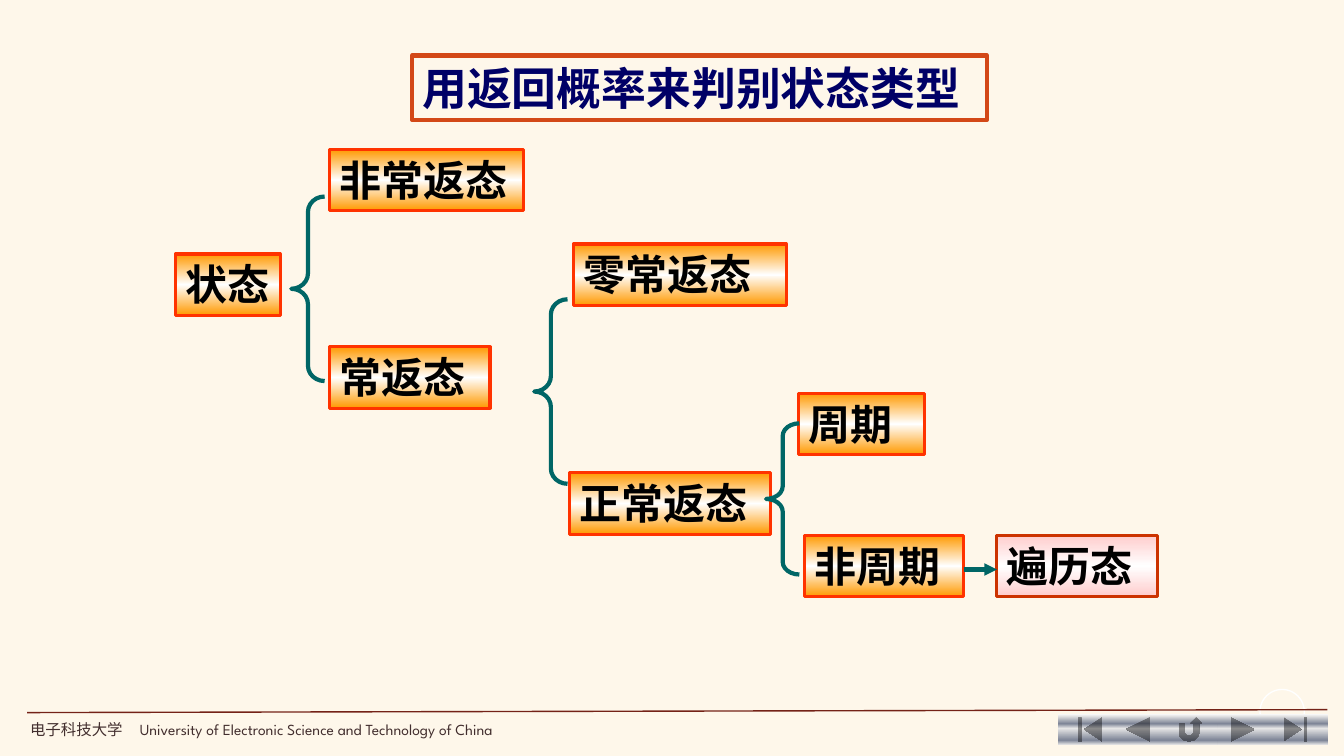
"""Build a slide that sorts the states of a chain by return probability."""
from dataclasses import dataclass
from typing import Any

from lxml.etree import SubElement
from pptx import Presentation
from pptx.dml.color import RGBColor
from pptx.enum.shapes import MSO_CONNECTOR, MSO_SHAPE
from pptx.enum.text import MSO_ANCHOR, PP_ALIGN
from pptx.oxml.ns import qn
from pptx.util import Pt

SERIF, SANS, LATIN = "Times New Roman", "Noto Sans CJK JP", "League Spartan"
TEAL, ORANGE, RED, BLACK = "006666", "FF9900", "FF3300", "000000"
BASE = 5.31 * 72
STEEL = [(0, "FFFFFF"), (7, "E6E6E6"), (32, "7D8496"),
         (47, "E6E6E6"), (85, "7D8496"), (100, "E6E6E6")]
FRAME = {"word_wrap": True, "vertical_anchor": MSO_ANCHOR.TOP,
         "margin_left": Pt(7.2), "margin_right": Pt(0),
         "margin_top": Pt(3.6), "margin_bottom": Pt(3.6)}


@dataclass
class Node:
    """A labelled box of the tree."""
    text: str
    left: float
    top: float
    width: float
    tint: str = ORANGE
    edge: str = RED


@dataclass
class Brace:
    """A left brace that splits one node into two."""
    left: float
    top: float
    height: float
    curve: float


@dataclass
class Button:
    """A button of the bar at the bottom right."""
    kind: Any
    left: float
    width: float


NODES = [
    Node("状态", 125.3, 181.4, 74.9),
    Node("非常返态", 235.5, 106.6, 138.3),
    Node("常返态", 235.5, 247.7, 114.5),
    Node("零常返态", 409.7, 174.3, 152),
    Node("正常返态", 406.8, 337.7, 143.3),
    Node("周期", 570.3, 280.8, 90),
    Node("非周期", 574.6, BASE, 113.8),
    Node("遍历态", 712.1, BASE, 114.5, "FFCCCC", "CC3300"),
]
BRACES = [
    Brace(208.1, 140.4, 131.8, 0.46),
    Brace(381.6, 213.8, 131.8, 0.46),
    Brace(547.2, 302.4, 108, 0.38),
]
BUTTONS = [
    Button(MSO_SHAPE.ACTION_BUTTON_BEGINNING, 756, 45.4),
    Button(MSO_SHAPE.ACTION_BUTTON_BACK_OR_PREVIOUS, 792, 41.8),
    Button(MSO_SHAPE.ACTION_BUTTON_RETURN, 830.9, 38.9),
    Button(MSO_SHAPE.ACTION_BUTTON_FORWARD_OR_NEXT, 869.8, 36),
    Button(MSO_SHAPE.ACTION_BUTTON_END, 902.2, 46.1),
]


def tone(code: str) -> RGBColor:
    """Turn a hex string into a colour."""
    return RGBColor.from_string(code)


def apply(item: Any, form: dict[str, Any]) -> None:
    """Set each value of a format on an item."""
    for name, value in form.items():
        setattr(item, name, value)


def stroke(shape: Any, code: str, width: float) -> None:
    """Give a shape a solid line."""
    shape.line.color.rgb = tone(code)
    shape.line.width = Pt(width)


def blend(shape: Any, stops: list[tuple[int, str]]) -> None:
    """Fill a shape from top to bottom with colour stops."""
    shape.fill.gradient()
    shape.fill.gradient_angle = 270
    stop_list = shape._element.spPr.find(".//" + qn("a:gsLst"))
    for old in list(stop_list):
        stop_list.remove(old)
    for place, code in stops:
        stop = SubElement(stop_list, qn("a:gs"), pos=str(place * 1000))
        SubElement(stop, qn("a:srgbClr"), val=code)


def write(part: Any, text: str, size: float, face: str, code: str,
          bold: bool = False) -> None:
    """Add a run of text to a paragraph."""
    run = part.add_run()
    run.text = text
    apply(run.font, {"size": Pt(size), "name": face, "bold": bold})
    run.font.color.rgb = tone(code)
    SubElement(run._r.get_or_add_rPr(), qn("a:ea"), typeface=SANS)


def label(shape: Any, text: str, size: float, code: str) -> None:
    """Put bold text at the left of a shape."""
    apply(shape.text_frame, FRAME)
    part = shape.text_frame.paragraphs[0]
    part.alignment = PP_ALIGN.LEFT
    write(part, text, size, SERIF, code, True)


def place(slide: Any, kind: Any, *box: float) -> Any:
    """Add a flat preset shape."""
    shape = slide.shapes.add_shape(kind, *map(Pt, box))
    shape.shadow.inherit = False
    return shape


def link(slide: Any, ends: tuple[float, ...], code: str, width: float,
         arrow: bool = False) -> None:
    """Add a straight line, with an arrowhead if asked."""
    line = slide.shapes.add_connector(MSO_CONNECTOR.STRAIGHT, *map(Pt, ends))
    stroke(line, code, width)
    if arrow:
        SubElement(line.line._get_or_add_ln(), qn("a:tailEnd"), type="triangle")
    SubElement(line._element.spPr, qn("a:effectLst"))


def draw_node(slide: Any, node: Node) -> None:
    """Draw one box of the tree."""
    shape = place(slide, MSO_SHAPE.RECTANGLE, node.left, node.top, node.width, 43.9)
    blend(shape, [(0, node.tint), (50, "FFFFFF"), (100, node.tint)])
    stroke(shape, node.edge, 2.25)
    label(shape, node.text, 30, BLACK)


def draw_brace(slide: Any, brace: Brace) -> None:
    """Draw one brace of the tree."""
    shape = place(slide, MSO_SHAPE.LEFT_BRACE, brace.left, brace.top, 23.8, brace.height)
    shape.adjustments[0] = brace.curve
    shape.fill.background()
    stroke(shape, TEAL, 3)


def draw_button(slide: Any, button: Button) -> None:
    """Draw one button of the bar."""
    shape = place(slide, button.kind, button.left, 509.8, button.width, 22.3)
    blend(shape, STEEL)
    shape.line.fill.background()


def draw_title(slide: Any) -> None:
    """Format the title and move it into place."""
    title = slide.shapes.title
    apply(title, {"left": Pt(294.5), "top": Pt(39.6),
                  "width": Pt(410.4), "height": Pt(46.1)})
    stroke(title, "D34817", 3)
    label(title, "用返回概率来判别状态类型", 32, "000066")


def draw_foot(slide: Any) -> None:
    """Draw the name of the school and the rule above it."""
    box = slide.shapes.add_textbox(*map(Pt, (14.4, 510.5, 397.4, 20.9)))
    apply(box.text_frame, FRAME)
    part = box.text_frame.paragraphs[0]
    tabs = SubElement(part._p.get_or_add_pPr(), qn("a:tabLst"))
    SubElement(tabs, qn("a:tab"), pos=str(Pt(78.4)), algn="l")
    write(part, "电子科技大学\t", 11, SANS, "422E2E")
    write(part, "University of Electronic Science and Technology of China",
          11, LATIN, "422E2E")
    link(slide, (19.4, 509, 948.2, 506.9), "742217", 1)


def main() -> None:
    """Build and save the deck."""
    deck = Presentation()
    apply(deck, {"slide_width": Pt(960), "slide_height": Pt(540)})
    slide = deck.slides.add_slide(deck.slide_layouts[5])
    slide.background.fill.solid()
    slide.background.fill.fore_color.rgb = tone("FEF7EA")
    ring = place(slide, MSO_SHAPE.OVAL, 900, 492.5, 31.7, 31.7)
    ring.fill.background()
    stroke(ring, "FFFFFF", 1)
    draw_title(slide)
    for node in NODES:
        draw_node(slide, node)
    for brace in BRACES:
        draw_brace(slide, brace)
    link(slide, (688.3, 406.8, 712.1, 406.8), TEAL, 3, True)
    for button in BUTTONS:
        draw_button(slide, button)
    draw_foot(slide)
    deck.save("out.pptx")


if __name__ == "__main__":
    main()
